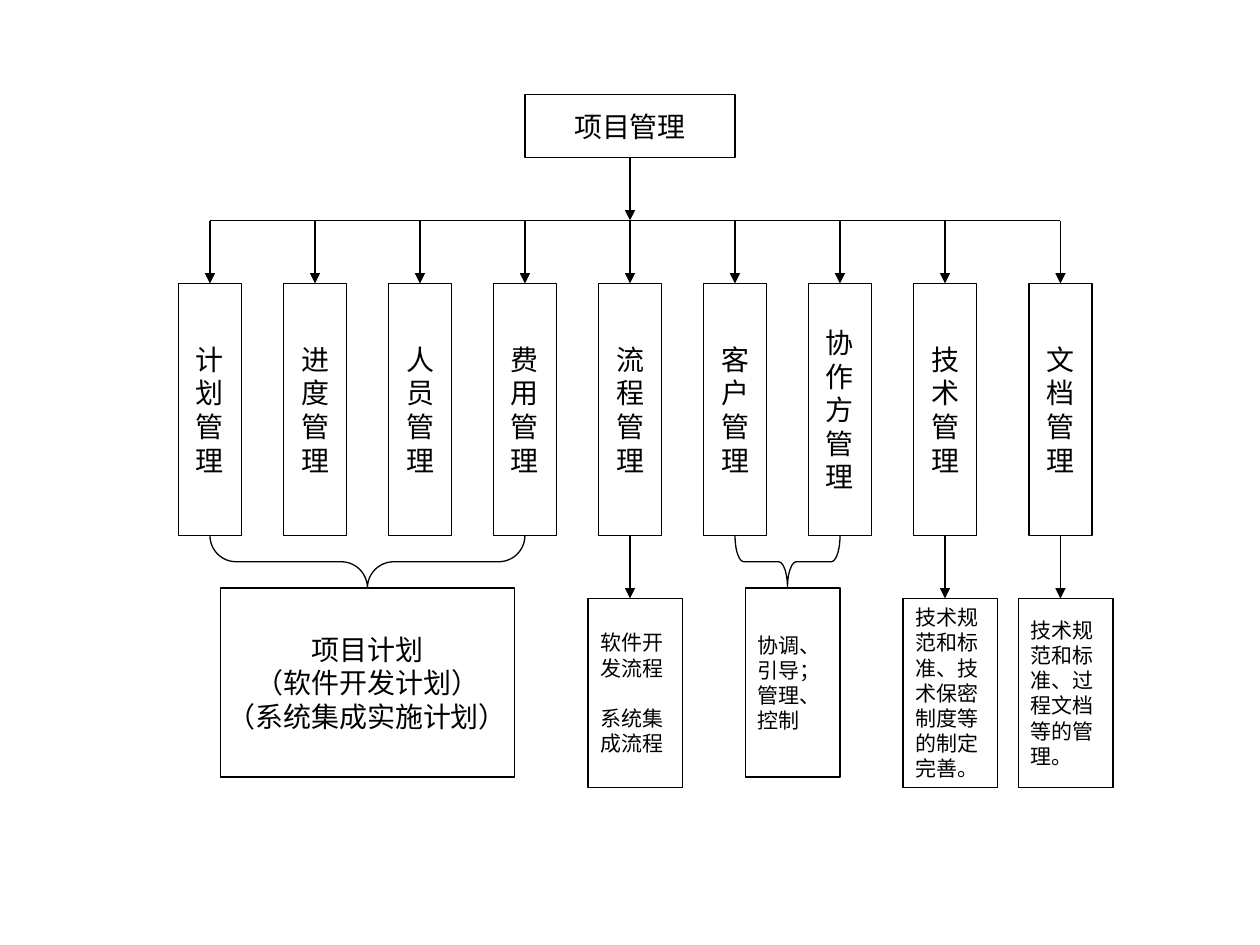
import pptx
import pptx.dml.color
import pptx.enum.shapes
import pptx.enum.text
import pptx.oxml.ns
import pptx.util
import lxml.etree

SHAPE = pptx.enum.shapes.MSO_SHAPE
ALIGN = pptx.enum.text.PP_ALIGN
COLORS = {"ink": "000000"}
FONT = "Times New Roman"
WIDTH, HEIGHT = 10, 7.5
COL, ROW = WIDTH / 12, HEIGHT / 15
BUS, BRANCH_TOP, BRANCH_END = 3.5, 4.5, 8.5
BRACE_END, DETAIL_TOP = 9 + 1 / 3, 9.5

BRANCHES = [
    (2, "计划管理"), (3, "进度管理"), (4, "人员管理"),
    (5, "费用管理"), (6, "流程管理"), (7, "客户管理"),
    (8, "协作方管理"), (9, "技术管理"), (10.1, "文档管理"),
]
DETAILS = [
    (5.6, 6, ["软件开发流程", "系统集成流程"]),
    (8.6, 9, ["技术规范和标准、技术保密制度等的制定完善。"]),
    (9.7, 10.1, ["技术规范和标准、过程文档等的管理。"]),
]
PLAN = ["项目计划", "（软件开发计划）", "（系统集成实施计划）"]


def x(cols):
    return pptx.util.Inches(cols * COL)


def y(rows):
    return pptx.util.Inches(rows * ROW)


def ink():
    return pptx.dml.color.RGBColor.from_string(COLORS["ink"])


def style_line(line):
    line.color.rgb = ink()
    line.width = pptx.util.Pt(0.75)


def write(tf, paragraphs, size=16, align=ALIGN.CENTER, wrap=False, gap=0):
    tf.word_wrap = wrap
    tf.vertical_anchor = pptx.enum.text.MSO_ANCHOR.MIDDLE
    for i, text in enumerate(paragraphs):
        p = tf.paragraphs[0] if i == 0 else tf.add_paragraph()
        p.alignment = align
        if i and gap:
            p.space_before = pptx.util.Pt(gap)
        r = p.add_run()
        r.text = text
        r.font.size = pptx.util.Pt(size)
        r.font.name = FONT
        r.font.color.rgb = ink()


def outline(s, kind, left, top, width, height):
    sp = s.shapes.add_shape(kind, left, top, width, height)
    sp.shadow.inherit = False
    sp.fill.background()
    style_line(sp.line)
    return sp


def box(s, left, top, width, height, paragraphs, **fmt):
    sp = outline(s, SHAPE.RECTANGLE, x(left), y(top), x(width), y(height))
    write(sp.text_frame, paragraphs, **fmt)


def line(s, x1, y1, x2, y2, arrow=True):
    c = s.shapes.add_connector(
        pptx.enum.shapes.MSO_CONNECTOR.STRAIGHT, x(x1), y(y1), x(x2), y(y2))
    style_line(c.line)
    qn = pptx.oxml.ns.qn
    if arrow:
        ln = c.line._get_or_add_ln()
        lxml.etree.SubElement(ln, qn("a:tailEnd"), type="triangle")
    lxml.etree.SubElement(c._element.spPr, qn("a:effectLst"))


def brace(s, left, right, top, bottom, curve):
    span, depth = x(right - left), y(bottom - top)
    sp = outline(s, SHAPE.LEFT_BRACE,
                 x((left + right) / 2) - depth // 2,
                 y((top + bottom) / 2) - span // 2, depth, span)
    sp.rotation = 270
    sp.adjustments[0] = curve


def root(s, left, top, width, height):
    box(s, left, top, width, height, ["项目管理"])
    line(s, left + width / 2, top + height, left + width / 2, BUS)


def branches(s, top, height, width=0.6):
    line(s, BRANCHES[0][0], BUS, BRANCHES[-1][0], BUS, arrow=False)
    for center, name in BRANCHES:
        line(s, center, BUS, center, top)
        box(s, center - width / 2, top, width, height, list(name))


def note(s, left, top, paragraphs):
    box(s, left, top, 0.9, 3, paragraphs,
        size=12, align=ALIGN.LEFT, wrap=True, gap=14.4)


def details(s, top):
    for left, center, paragraphs in DETAILS:
        line(s, center, BRANCH_END, center, top)
        note(s, left, top, paragraphs)


def grouped(s, top):
    brace(s, 2, 5, BRANCH_END, top, 0.5)
    box(s, 2.1, top, 2.8, 3, PLAN)
    brace(s, 7, 8, BRANCH_END, top, 1 / 6)
    note(s, 7.1, top, ["协调、引导；管理、控制"])


def main():
    prs = pptx.Presentation()
    prs.slide_width = pptx.util.Inches(WIDTH)
    prs.slide_height = pptx.util.Inches(HEIGHT)
    s = prs.slides.add_slide(prs.slide_layouts[6])
    root(s, 5, 1.5, 2, 1)
    branches(s, BRANCH_TOP, BRANCH_END - BRANCH_TOP)
    grouped(s, BRACE_END)
    details(s, DETAIL_TOP)
    prs.save("out.pptx")


if __name__ == "__main__":
    main()
